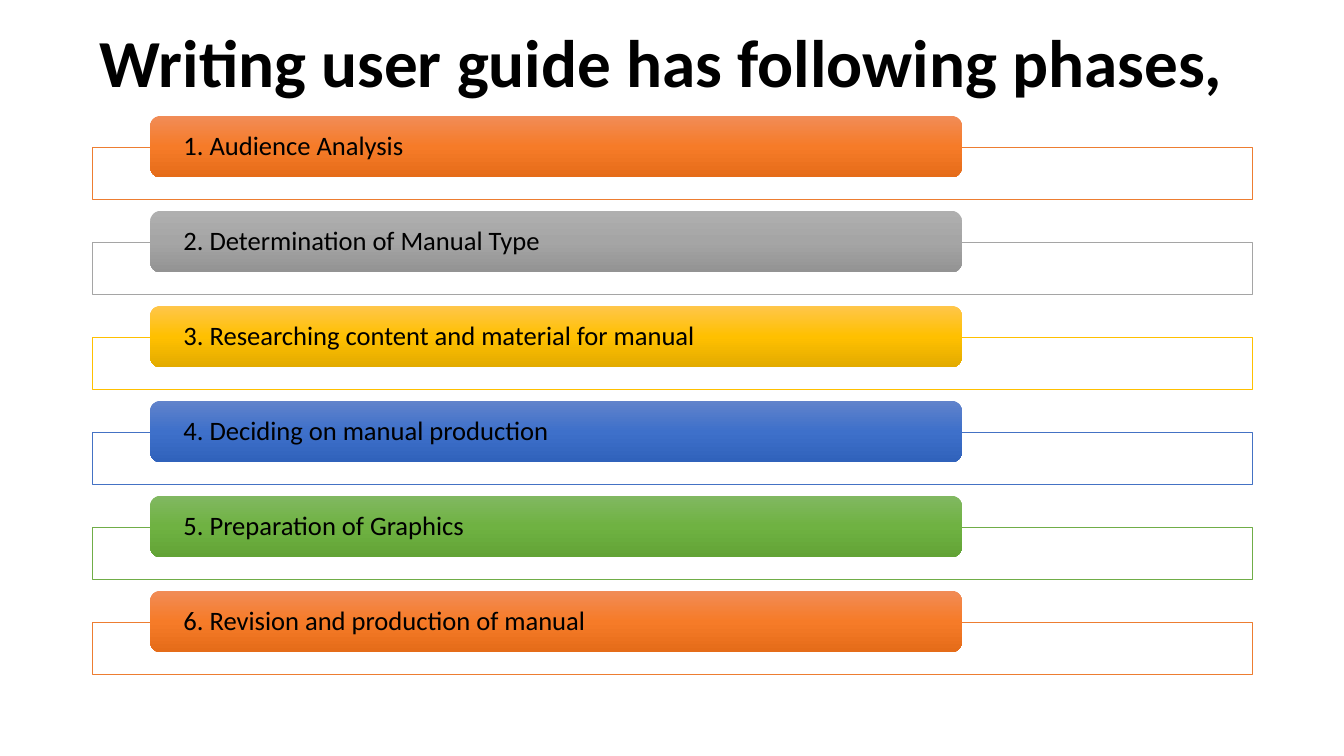
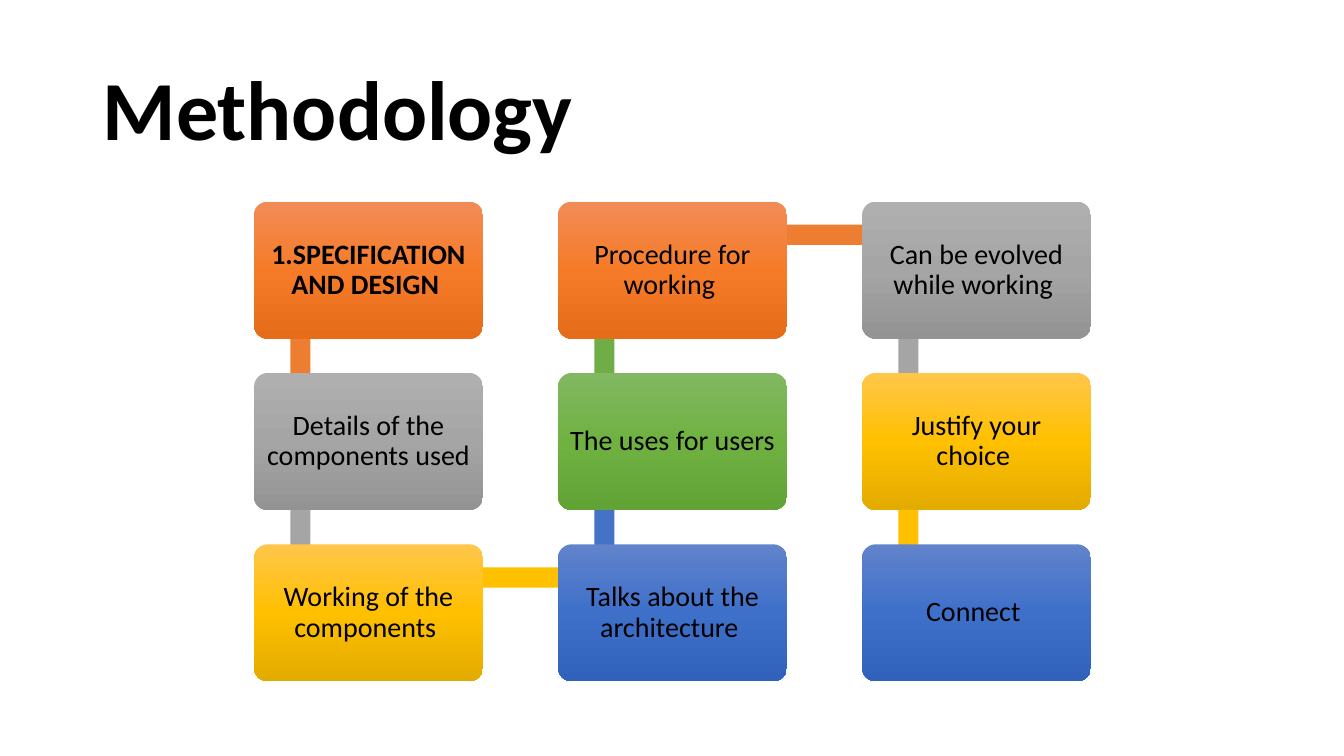
import copy
import itertools

import pptx
import pptx.dml.color
import pptx.enum.shapes
import pptx.enum.text
import pptx.oxml.ns
import pptx.util

Inches = pptx.util.Inches
SHAPES = pptx.enum.shapes.MSO_SHAPE
ALIGN = pptx.enum.text.PP_ALIGN

FONT = "Calibri"
COLORS = {
    "text": "000000", "paper": "FFFFFF",
    "orange": "ED7D31", "gray": "A5A5A5", "gold": "FFC000", "blue": "4472C4", "green": "70AD47",
}
GRADIENTS = {
    "orange": ("F18C57", "F67B28", "E56C19"),
    "gray": ("AFAFAF", "A5A5A5", "939393"),
    "gold": ("FFC64B", "FFC000", "E3AB00"),
    "blue": ("6183CB", "3E70CA", "3062BB"),
    "green": ("81B861", "6FB242", "62A336"),
}

PHASES_TITLE = "Writing user guide has following phases,"
PHASES = [
    "1. Audience Analysis",
    "2. Determination of Manual Type",
    "3. Researching content and material for manual",
    "4. Deciding on manual production",
    "5. Preparation of Graphics",
    "6. Revision and production of manual",
]

METHOD_TITLE = "Methodology"
# Column, row and text, in reading order of the winding path
STEPS = [
    (0, 0, "1.SPECIFICATION AND DESIGN "),
    (0, 1, "Details of the components used "),
    (0, 2, "Working of the components "),
    (1, 2, "Talks about the architecture "),
    (1, 1, "The uses for users"),
    (1, 0, "Procedure for working "),
    (2, 0, "Can be evolved while working "),
    (2, 1, "Justify your choice "),
    (2, 2, "Connect "),
]


def rgb(value):
    return pptx.dml.color.RGBColor.from_string(value)


def write(shape, text, size, bold=False, align=ALIGN.LEFT, insets=(0.1, 0.05)):
    frame = shape.text_frame
    frame.word_wrap = True
    frame.vertical_anchor = pptx.enum.text.MSO_ANCHOR.MIDDLE
    frame.margin_left = frame.margin_right = Inches(insets[0])
    frame.margin_top = frame.margin_bottom = Inches(insets[1])
    frame.text = text
    paragraph = frame.paragraphs[0]
    paragraph.alignment = align
    paragraph.line_spacing = 0.9
    font = paragraph.runs[0].font
    font.name, font.size, font.bold = FONT, pptx.util.Pt(size), bold
    font.color.rgb = rgb(COLORS["text"])


def add_title(slide, text, size, left, top, width, height):
    box = slide.shapes.add_textbox(*map(Inches, (left, top, width, height)))
    write(box, text, size, bold=True)


def add_rectangle(slide, left, top, width, height, fill, line=None):
    shape = slide.shapes.add_shape(SHAPES.RECTANGLE, *map(Inches, (left, top, width, height)))
    shape.shadow.inherit = False
    shape.fill.solid()
    shape.fill.fore_color.rgb = rgb(COLORS[fill])
    if line:
        shape.line.color.rgb = rgb(COLORS[line])
        shape.line.width = pptx.util.Pt(0.5)
    else:
        shape.line.fill.background()


def add_card(slide, left, top, width, height, accent):
    """Add a rounded box with a three-stop gradient running downwards."""
    shape = slide.shapes.add_shape(SHAPES.ROUNDED_RECTANGLE, *map(Inches, (left, top, width, height)))
    shape.shadow.inherit = False
    shape.line.fill.background()
    shape.fill.gradient()
    shape.fill.gradient_angle = 270
    stop_list = next(shape.element.iter(pptx.oxml.ns.qn("a:gsLst")))
    stop_list.append(copy.deepcopy(stop_list[-1]))
    for stop, position, color in zip(shape.fill.gradient_stops, (0, 0.5, 1), GRADIENTS[accent]):
        stop.position = position
        stop.color.rgb = rgb(color)
    return shape


def build_phases(slide):
    add_title(slide, PHASES_TITLE, 48, 0.89, 0.22, 11.5, 0.87)
    first_top, pitch = 1.15, 0.942
    for index, (phase, accent) in enumerate(zip(PHASES, itertools.cycle(GRADIENTS))):
        top = first_top + index * pitch
        add_rectangle(slide, 0.92, top + 0.31, 11.5, 0.52, "paper", accent)
        card = add_card(slide, 1.49, top, 8.05, 0.61, accent)
        write(card, phase, 19, insets=(0.3, 0))


def build_methodology(slide):
    add_title(slide, METHOD_TITLE, 60, 0.92, 0.4, 11.5, 1.45)
    left, top, column_pitch, row_pitch = 2.52, 2, 3.015, 1.7
    thickness, joint_x, joint_y = 0.2, 0.46, 0.33
    corners = [(left + column * column_pitch, top + row * row_pitch) for column, row, _ in STEPS]
    accents = list(itertools.islice(itertools.cycle(GRADIENTS), len(STEPS)))

    for (x1, y1), (x2, y2), accent in zip(corners, corners[1:], accents):
        add_rectangle(slide, min(x1, x2) + joint_x - thickness / 2,
                      min(y1, y2) + joint_y - thickness / 2,
                      abs(x2 - x1) + thickness, abs(y2 - y1) + thickness, accent)

    for index, ((x, y), (_, _, text), accent) in enumerate(zip(corners, STEPS, accents)):
        card = add_card(slide, x, y, 2.27, 1.36, accent)
        card.adjustments[0] = 0.1
        write(card, text, 20, bold=index == 0, align=ALIGN.CENTER, insets=(0.08, 0.08))


def main():
    presentation = pptx.Presentation()
    presentation.slide_width, presentation.slide_height = Inches(13.33), Inches(7.5)
    for build in (build_phases, build_methodology):
        build(presentation.slides.add_slide(presentation.slide_layouts[6]))
    presentation.save("out.pptx")


if __name__ == "__main__":
    main()
